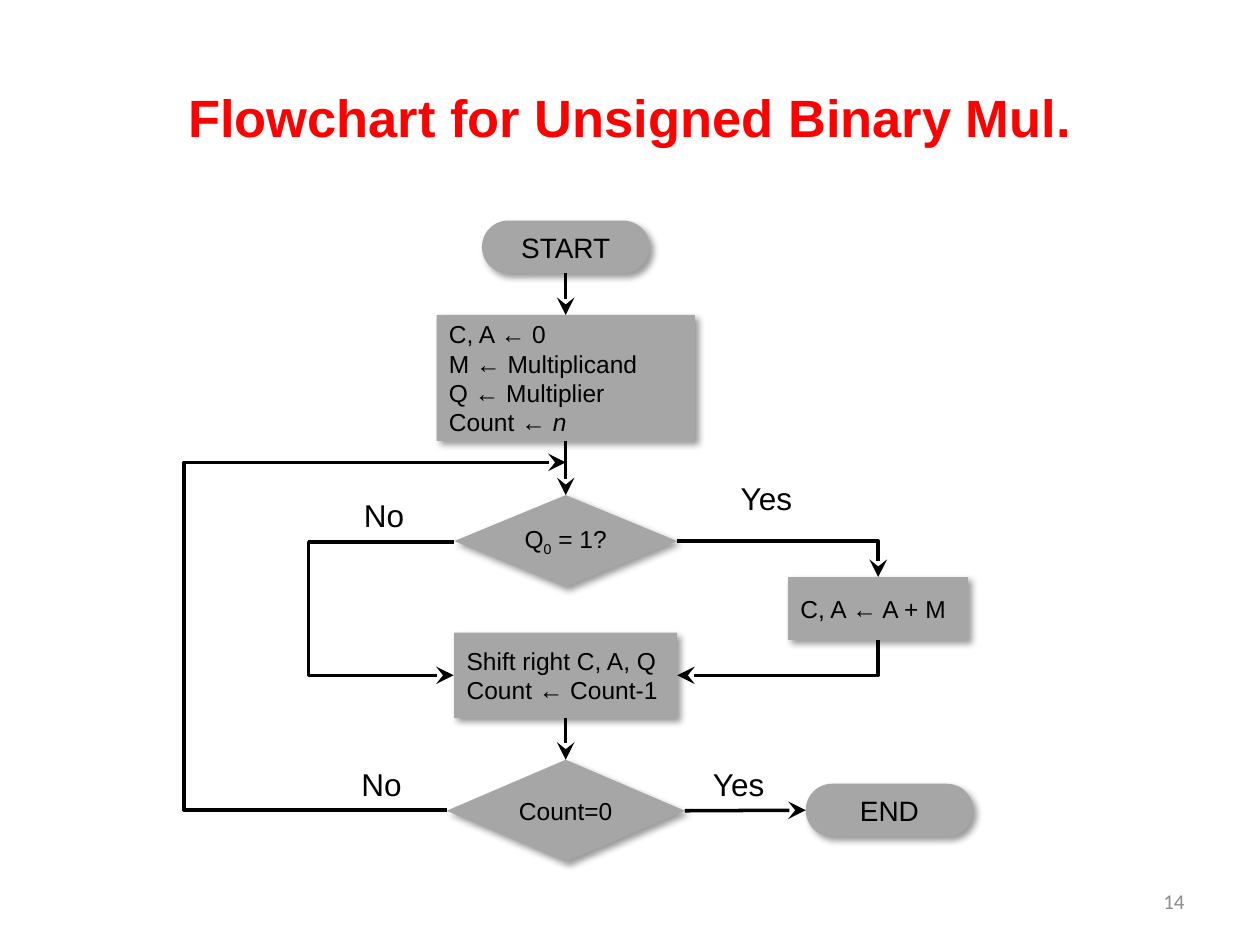
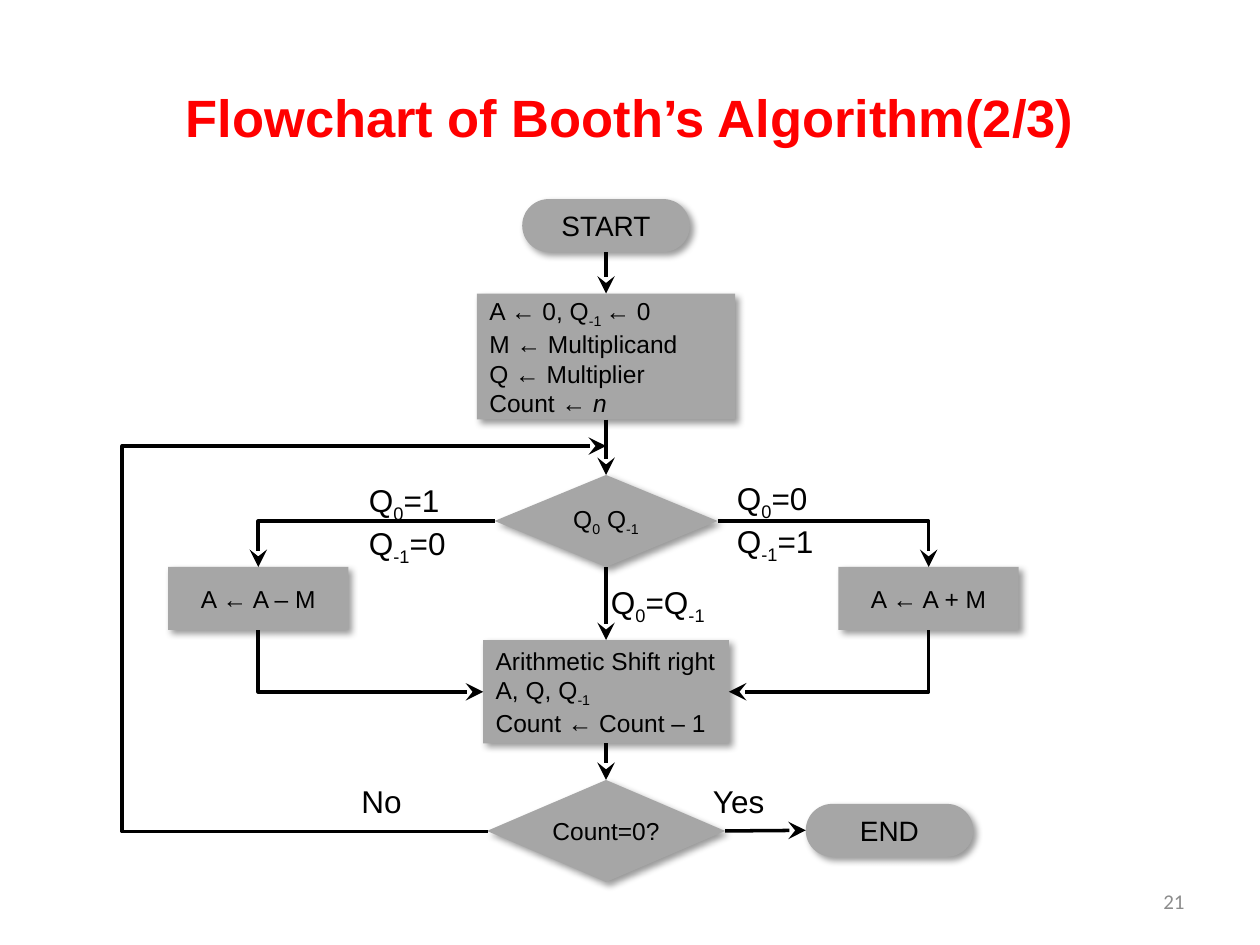
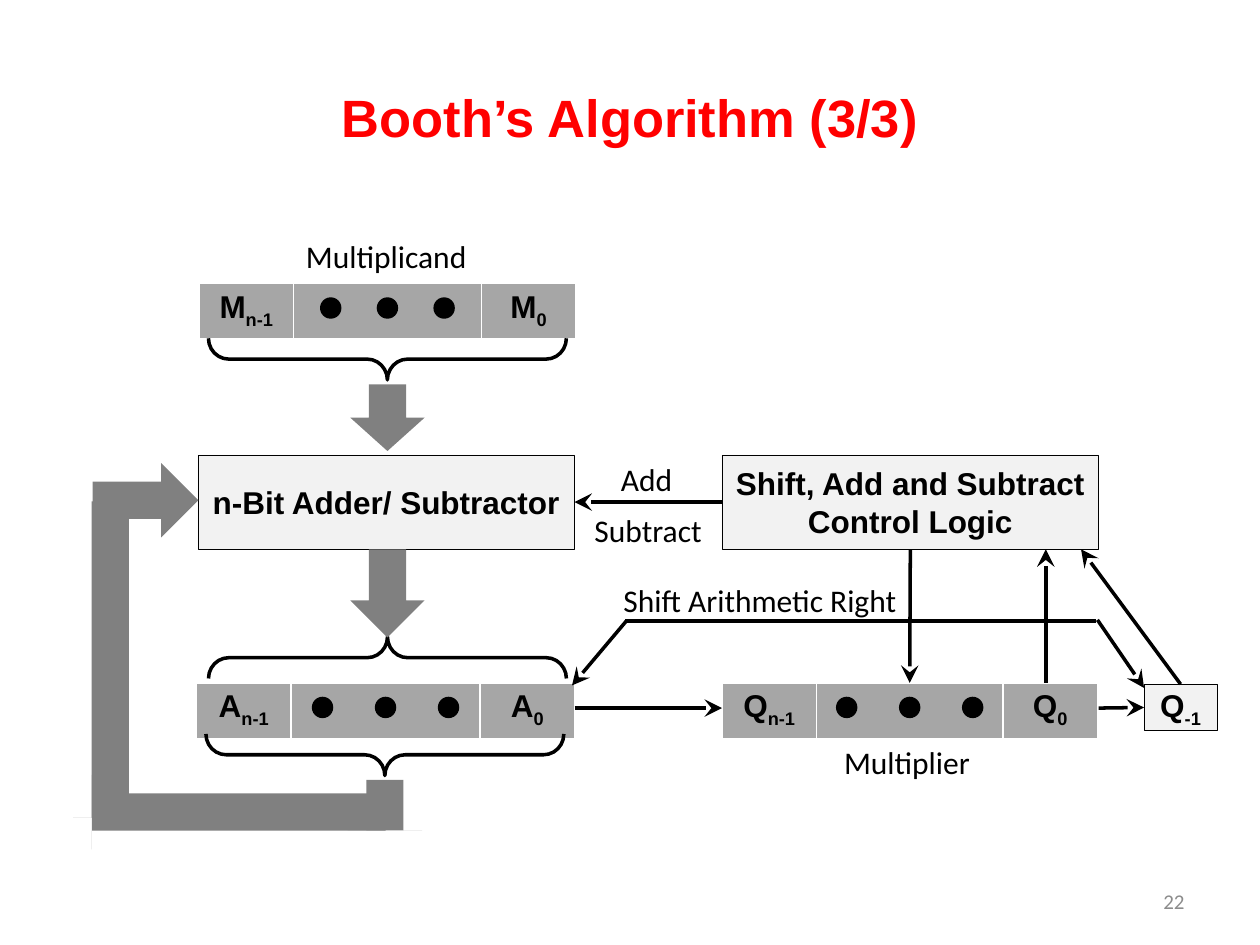
from dataclasses import dataclass

from lxml.etree import SubElement
from pptx import Presentation
from pptx.dml.color import RGBColor
from pptx.enum.shapes import MSO_CONNECTOR as Link, MSO_SHAPE as Shape
from pptx.enum.text import MSO_ANCHOR as Anchor, PP_ALIGN as Align
from pptx.oxml.ns import qn
from pptx.util import Inches, Pt


@dataclass(frozen=True)
class Theme:
    heading: RGBColor = RGBColor(0xFF, 0x00, 0x00)
    ink: RGBColor = RGBColor(0x00, 0x00, 0x00)
    step: RGBColor = RGBColor(0xA6, 0xA6, 0xA6)
    unit: RGBColor = RGBColor(0xF2, 0xF2, 0xF2)
    bus: RGBColor = RGBColor(0x80, 0x80, 0x80)
    footer: RGBColor = RGBColor(0x8C, 0x8C, 0x8C)
    font: str = "Arial"
    plain_font: str = "Calibri"
    title_size: int = 30
    label_size: int = 18
    pill_size: int = 16
    step_size: int = 14
    footer_size: int = 12
    line_width: int = 2


theme = Theme()


def write(frame, text, size, align=Align.LEFT, font=theme.font, bold=False, color=theme.ink):
    """Fill a frame; "~_" starts a subscript, "~/" italics and "~" plain text."""
    frame.text = text
    for para in frame.paragraphs:
        para.alignment = align
        first, *rest = para.text.split("~")
        para.text = first
        for piece in rest:
            span = para.add_run()
            span.text = piece.lstrip("_/")
            if piece.startswith("_"):
                span.font._element.set("baseline", "-25000")
            elif piece.startswith("/"):
                span.font.italic = True
        for span in para.runs:
            span.font.size = Pt(size)
            span.font.name = font
            span.font.bold = bold
            span.font.color.rgb = color


def style_line(line, arrow=True):
    """Give a line the common stroke, without shadow, and an arrowhead."""
    line.line.color.rgb = theme.ink
    line.line.width = Pt(theme.line_width)
    properties = line.element.spPr
    if arrow:
        SubElement(properties.find(qn("a:ln")), qn("a:tailEnd"), type="stealth", w="lg", len="lg")
    SubElement(properties, qn("a:effectLst"))


deck = Presentation()
deck.slide_width, deck.slide_height = Inches(10), Inches(7.5)

# Titles and page numbers
pages = []
for title, number in [
    ("Flowchart for Unsigned Binary Mul.", "14"),
    ("Flowchart of Booth’s Algorithm(2/3)", "21"),
    ("Booth’s Algorithm (3/3)", "22"),
]:
    page = deck.slides.add_slide(deck.slide_layouts[5])
    heading = page.shapes.title
    heading.left, heading.top, heading.width, heading.height = map(Inches, (0.5, 0.3, 9, 1.25))
    write(heading.text_frame, title, theme.title_size, Align.CENTER, bold=True, color=theme.heading)
    box = page.shapes.add_textbox(*map(Inches, (7.17, 6.95, 2.33, 0.4)))
    box.text_frame.word_wrap = True
    box.text_frame.vertical_anchor = Anchor.MIDDLE
    write(box.text_frame, number, theme.footer_size, Align.RIGHT, theme.plain_font, color=theme.footer)
    pages.append(page)

# Flowcharts: steps by centre, top, width and height; joints by name and side
TOP, LEFT, BOTTOM, RIGHT = range(4)
PILL, BOX, TEST = Shape.ROUNDED_RECTANGLE, Shape.RECTANGLE, Shape.DIAMOND
flowcharts = [
    {
        "steps": {
            "start": (PILL, 4.49, 1.75, 1.33, 0.42, "START", Align.CENTER),
            "setup": (BOX, 4.49, 2.5, 2.05, 1,
                      "C, A ← 0\nM ← Multiplicand\nQ ← Multiplier\nCount ← ~/n", Align.LEFT),
            "bit": (TEST, 4.49, 3.93, 1.77, 0.73, "Q~_0~ = 1?", Align.CENTER),
            "add": (BOX, 6.97, 4.58, 1.43, 0.5, "C, A ← A + M", Align.LEFT),
            "shift": (BOX, 4.49, 5.02, 1.77, 0.68,
                      "Shift right C, A, Q\nCount ← Count-1", Align.LEFT),
            "count": (TEST, 4.49, 6.03, 1.89, 0.81, "Count=0", Align.CENTER),
            "end": (PILL, 7.06, 6.22, 1.33, 0.42, "END", Align.CENTER),
        },
        "straight": [("start", "setup"), ("setup", "bit"), ("shift", "count")],
        "elbows": [("bit", RIGHT, "add", TOP), ("add", BOTTOM, "shift", RIGHT)],
        "routes": [
            [(3.6, 4.3), (2.45, 4.3), (2.45, 5.36), (3.6, 5.36)],
            [(3.55, 6.43), (1.46, 6.43), (1.46, 3.67), (4.49, 3.67)],
        ],
        "labels": [
            (5.78, 3.75, 0.61, 0.4, "Yes"), (5.56, 6.02, 0.61, 0.4, "Yes"),
            (2.79, 3.89, 0.52, 0.4, "No"), (2.77, 6.02, 0.52, 0.4, "No"),
        ],
    },
    {
        "steps": {
            "start": (PILL, 4.81, 1.58, 1.33, 0.42, "START", Align.CENTER),
            "setup": (BOX, 4.81, 2.33, 2.05, 1,
                      "A ← 0, Q~_-1 ~← 0\nM ← Multiplicand\nQ ← Multiplier\nCount ← ~/n", Align.LEFT),
            "bits": (TEST, 4.81, 3.77, 1.77, 0.73, "Q~_0~ Q~_-1", Align.CENTER),
            "subtract": (BOX, 2.05, 4.5, 1.43, 0.5, "A ← A – M", Align.CENTER),
            "add": (BOX, 7.37, 4.5, 1.43, 0.5, "A ← A + M", Align.CENTER),
            "shift": (BOX, 4.81, 5.08, 1.95, 0.82,
                      "Arithmetic Shift right A, Q, Q~_-1\nCount ← Count – 1", Align.LEFT),
            "count": (TEST, 4.81, 6.19, 1.89, 0.81, "Count=0?", Align.CENTER),
            "end": (PILL, 7.06, 6.38, 1.33, 0.42, "END", Align.CENTER),
        },
        "straight": [("start", "setup"), ("setup", "bits"), ("bits", "shift"), ("shift", "count")],
        "elbows": [
            ("bits", RIGHT, "add", TOP), ("add", BOTTOM, "shift", RIGHT),
            ("bits", LEFT, "subtract", TOP), ("subtract", BOTTOM, "shift", LEFT),
        ],
        "routes": [[(3.87, 6.6), (0.97, 6.6), (0.97, 3.54), (4.81, 3.54)]],
        "labels": [
            (5.75, 3.75, 0.83, 0.71, "Q~_0~=0\nQ~_-1~=1"),
            (2.83, 3.77, 0.83, 0.71, "Q~_0~=1\nQ~_-1~=0"),
            (4.75, 4.58, 0.98, 0.4, "Q~_0~=Q~_-1"),
            (5.56, 6.16, 0.61, 0.4, "Yes"), (2.77, 6.16, 0.52, 0.4, "No"),
        ],
    },
]

for page, chart in zip(pages, flowcharts):
    # Steps with a soft shadow
    steps = {}
    for name, (kind, centre, top, width, height, text, align) in chart["steps"].items():
        step = page.shapes.add_shape(kind, *map(Inches, (centre - width / 2, top, width, height)))
        step.fill.solid()
        step.fill.fore_color.rgb = theme.step
        step.line.fill.background()
        step.shadow.inherit = False
        shadow = SubElement(step.element.spPr.find(qn("a:effectLst")), qn("a:outerShdw"),
                            blurRad="50800", dist="38100", dir="2700000", algn="tl", rotWithShape="0")
        SubElement(SubElement(shadow, qn("a:srgbClr"), val="000000"), qn("a:alpha"), val="40000")
        if kind == PILL:
            step.adjustments[0] = 0.5
        if kind == TEST:
            step.text_frame.margin_left = step.text_frame.margin_right = 0
        write(step.text_frame, text, theme.pill_size if kind == PILL else theme.step_size, align)
        steps[name] = step

    # Straight arrows
    joints = [(start, BOTTOM, end, TOP) for start, end in chart["straight"]]
    for start, start_side, end, end_side in joints + [("count", RIGHT, "end", LEFT)]:
        arrow = page.shapes.add_connector(Link.STRAIGHT, 0, 0, 0, 0)
        arrow.begin_connect(steps[start], start_side)
        arrow.end_connect(steps[end], end_side)
        style_line(arrow)

    # Arrows with one corner; those that leave downwards are turned by 90 degrees
    for start, start_side, end, end_side in chart["elbows"]:
        arrow = page.shapes.add_connector(Link.ELBOW, 0, 0, 0, 0)
        arrow.begin_connect(steps[start], start_side)
        arrow.end_connect(steps[end], end_side)
        arrow.element.spPr.find(qn("a:prstGeom")).set("prst", "bentConnector2")
        if start_side == BOTTOM:
            across, down = arrow.end_x - arrow.begin_x, arrow.end_y - arrow.begin_y
            middle_x = (arrow.begin_x + arrow.end_x) // 2
            middle_y = (arrow.begin_y + arrow.end_y) // 2
            arrow.width, arrow.height = down, abs(across)
            arrow.left, arrow.top = middle_x - down // 2, middle_y - abs(across) // 2
            frame = arrow.element.spPr.find(qn("a:xfrm"))
            frame.set("rot", "5400000")
            frame.set("flipH", "0")
            frame.set("flipV", "1" if across > 0 else "0")
        style_line(arrow)

    # Routes with several corners
    for first, *others in chart["routes"]:
        builder = page.shapes.build_freeform(*map(Inches, first))
        builder.add_line_segments([(Inches(x), Inches(y)) for x, y in others], close=False)
        route = builder.convert_to_shape()
        route.fill.background()
        style_line(route)

    # Branch labels
    for *place, text in chart["labels"]:
        label = page.shapes.add_textbox(*map(Inches, place))
        write(label.text_frame, text, theme.label_size)

# Hardware diagram: units
page = pages[2]
units = {}
for name, place, text in [
    ("adder", (1.57, 3.61, 2.99, 0.75), "n-Bit Adder/ Subtractor"),
    ("control", (5.73, 3.61, 2.99, 0.75), "Shift, Add and Subtract\nControl Logic"),
    ("extra bit", (9.08, 5.43, 0.58, 0.37), "Q~_-1"),
]:
    unit = page.shapes.add_shape(Shape.RECTANGLE, *map(Inches, place))
    unit.shadow.inherit = False
    unit.fill.solid()
    unit.fill.fore_color.rgb = theme.unit
    unit.line.color.rgb = theme.ink
    unit.line.width = Pt(0.25)
    write(unit.text_frame, text, theme.label_size, Align.CENTER, bold=True)
    units[name] = unit

# Registers, each with three dots in its middle cell
end_cell, dot_size = 0.75, 0.17
for letter, left, top, width, dot_gap in [
    ("M", 1.58, 2.25, 2.99, 0.45), ("A", 1.56, 5.42, 3, 0.5), ("Q", 5.73, 5.42, 2.98, 0.5),
]:
    register = page.shapes.add_table(1, 3, *map(Inches, (left, top, width, 0.41))).table
    widths = (end_cell, width - 2 * end_cell, end_cell)
    for column, cell_width, text in zip(range(3), widths, (f"{letter}~_n-1", "", f"{letter}~_0")):
        register.columns[column].width = Inches(cell_width)
        cell = register.cell(0, column)
        cell.fill.solid()
        cell.fill.fore_color.rgb = theme.step
        if text:
            write(cell.text_frame, text, theme.label_size, Align.CENTER, bold=True)
    dots = page.shapes.add_group_shape()
    for offset in (-1, 0, 1):
        dot_left = left + width / 2 + offset * dot_gap - dot_size / 2
        dot = dots.shapes.add_shape(Shape.FLOWCHART_CONNECTOR,
                                    *map(Inches, (dot_left, top + 0.11, dot_size, dot_size)))
        dot.shadow.inherit = False
        dot.fill.solid()
        dot.fill.fore_color.rgb = theme.ink
        dot.line.fill.background()

# Braces
for left, top, turn in [(2.91, 1.43, 270), (2.91, 3.8, 90), (2.89, 4.57, 270)]:
    brace = page.shapes.add_shape(Shape.LEFT_BRACE, *map(Inches, (left, top, 0.33, 2.84)))
    brace.rotation = turn
    brace.adjustments[0] = 0.488
    brace.fill.background()
    style_line(brace, arrow=False)

# Wide data paths; a head of 0 leaves a plain strip
for left, top, height, turn, head in [
    (2.78, 3.05, 0.53, 0, 0.5), (2.76, 6.19, 0.4, 0, 0), (1.6, 5.28, 2.33, 90, 0),
    (0.58, 3.98, 2.51, 0, 0), (0.86, 3.55, 0.84, 270, 0.5), (2.78, 4.36, 0.7, 0, 0.5),
]:
    bus = page.shapes.add_shape(Shape.DOWN_ARROW, *map(Inches, (left, top, 0.59, height)))
    bus.rotation = turn
    bus.adjustments[1] = head
    bus.shadow.inherit = False
    bus.fill.solid()
    bus.fill.fore_color.rgb = theme.bus
    bus.line.fill.background()

# Signal lines: ends, joints to units and arrowhead
for ends, start, end, arrow in [
    ((8.72, 5.62, 9.08, 5.62), None, ("extra bit", LEFT), True),
    ((4.56, 5.62, 5.73, 5.62), None, None, True),
    ((8.3, 5.42, 8.3, 4.36), None, None, True),
    ((5.73, 3.98, 4.56, 3.98), ("control", LEFT), ("adder", RIGHT), True),
    ((7.23, 4.36, 7.22, 5.42), ("control", BOTTOM), None, True),
    ((4.97, 4.93, 4.54, 5.44), None, None, True),
    ((8.71, 4.92, 9.08, 5.46), None, None, True),
    ((8.7, 4.93, 4.96, 4.93), None, None, False),
    ((9.38, 5.43, 8.58, 4.36), ("extra bit", TOP), None, True),
]:
    signal = page.shapes.add_connector(Link.STRAIGHT, *map(Inches, ends))
    if start:
        signal.begin_connect(units[start[0]], start[1])
    if end:
        signal.end_connect(units[end[0]], end[1])
    style_line(signal, arrow)

# Signal and register names
for *place, text in [
    (6.6, 5.85, 1.21, 0.4, "Multiplier"), (2.33, 1.83, 1.49, 0.4, "Multiplicand"),
    (4.83, 3.6, 0.61, 0.4, "Add"), (4.62, 4.01, 1.06, 0.4, "Subtract"),
    (4.85, 4.56, 2.4, 0.4, "Shift Arithmetic Right"),
]:
    label = page.shapes.add_textbox(*map(Inches, place))
    write(label.text_frame, text, theme.label_size, font=theme.plain_font)

deck.save("out.pptx")
